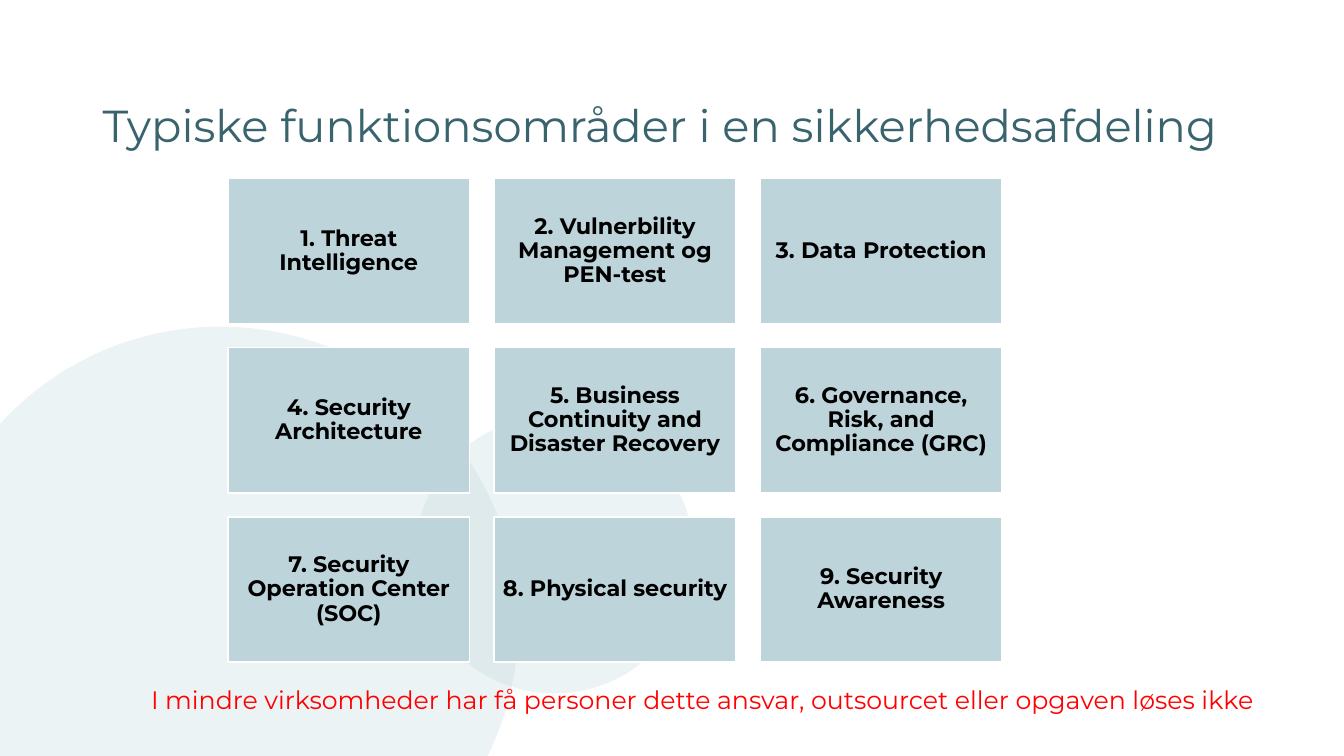
from lxml import etree
from pptx import Presentation
from pptx.dml.color import RGBColor
from pptx.enum import shapes, text
from pptx.oxml.ns import qn
from pptx.util import Inches, Pt

FONT = "Montserrat"
PALE = "BED4DB"
AREAS = [
    "1. Threat Intelligence",
    "2. Vulnerbility Management og PEN-test",
    "3. Data Protection",
    "4. Security Architecture",
    "5. Business Continuity and Disaster Recovery",
    "6. Governance, Risk, and Compliance (GRC)",
    "7. Security Operation Center (SOC)",
    "8. Physical security",
    "9. Security Awareness",
]


def color(code):
    return RGBColor.from_string(code)


def write(frame, words, size, code, bold=False):
    frame.vertical_anchor = text.MSO_ANCHOR.MIDDLE
    para = frame.paragraphs[0]
    run = para.add_run()
    run.text = words
    run.font.name = FONT
    run.font.size = Pt(size)
    run.font.bold = bold
    run.font.color.rgb = color(code)
    return para


def block(slide, kind, left, top, width, height):
    shape = slide.shapes.add_shape(
        kind, Inches(left), Inches(top), Inches(width), Inches(height))
    shape.shadow.inherit = False
    shape.fill.solid()
    shape.fill.fore_color.rgb = color(PALE)
    return shape


def circle(slide, left, top, size):
    shape = block(slide, shapes.MSO_SHAPE.OVAL, left, top, size, size)
    shape.line.fill.background()
    tint = shape.fill._xPr.find(qn("a:solidFill"))[0]
    etree.SubElement(tint, qn("a:alpha"), val="28000")


def label(slide, left, top, width, height, words, size, code, wrap=True):
    box = slide.shapes.add_textbox(
        Inches(left), Inches(top), Inches(width), Inches(height))
    box.text_frame.word_wrap = wrap
    return write(box.text_frame, words, size, code)


def tile(slide, left, top, width, height, words):
    shape = block(slide, shapes.MSO_SHAPE.RECTANGLE, left, top, width, height)
    shape.line.color.rgb = color("FFFFFF")
    shape.line.width = Pt(1)
    frame = shape.text_frame
    frame.word_wrap = True
    frame.margin_left = frame.margin_right = Inches(0.07)
    frame.margin_top = frame.margin_bottom = Inches(0.07)
    para = write(frame, words, 16, "000000", True)
    para.alignment = text.PP_ALIGN.CENTER
    para.line_spacing = 0.9


def grid(slide, left, top, width, height, gap=0.24, cols=3):
    rows = len(AREAS) // cols
    wide = (width - gap * (cols - 1)) / cols
    high = (height - gap * (rows - 1)) / rows
    for i, words in enumerate(AREAS):
        row, col = divmod(i, cols)
        tile(slide, left + col * (wide + gap), top + row * (high + gap),
             wide, high, words)


def main():
    deck = Presentation()
    deck.slide_width = Inches(13.33)
    deck.slide_height = Inches(7.5)
    slide = deck.slides.add_slide(deck.slide_layouts[6])
    circle(slide, -0.77, 3.24, 5.91)
    circle(slide, 4.12, 4.12, 2.76)
    title = label(slide, 0.92, 0.76, 11.5, 1.01,
                  "Typiske funktionsområder i en sikkerhedsafdeling",
                  32, "3A646D")
    title.line_spacing = 0.9
    grid(slide, 2.26, 1.77, 7.68, 4.8)
    label(slide, 1.4, 6.74, 11.2, 0.4,
          "I mindre virksomheder har få personer dette ansvar, "
          "outsourcet eller opgaven løses ikke", 18, "FF0000", False)
    deck.save("out.pptx")


if __name__ == "__main__":
    main()
